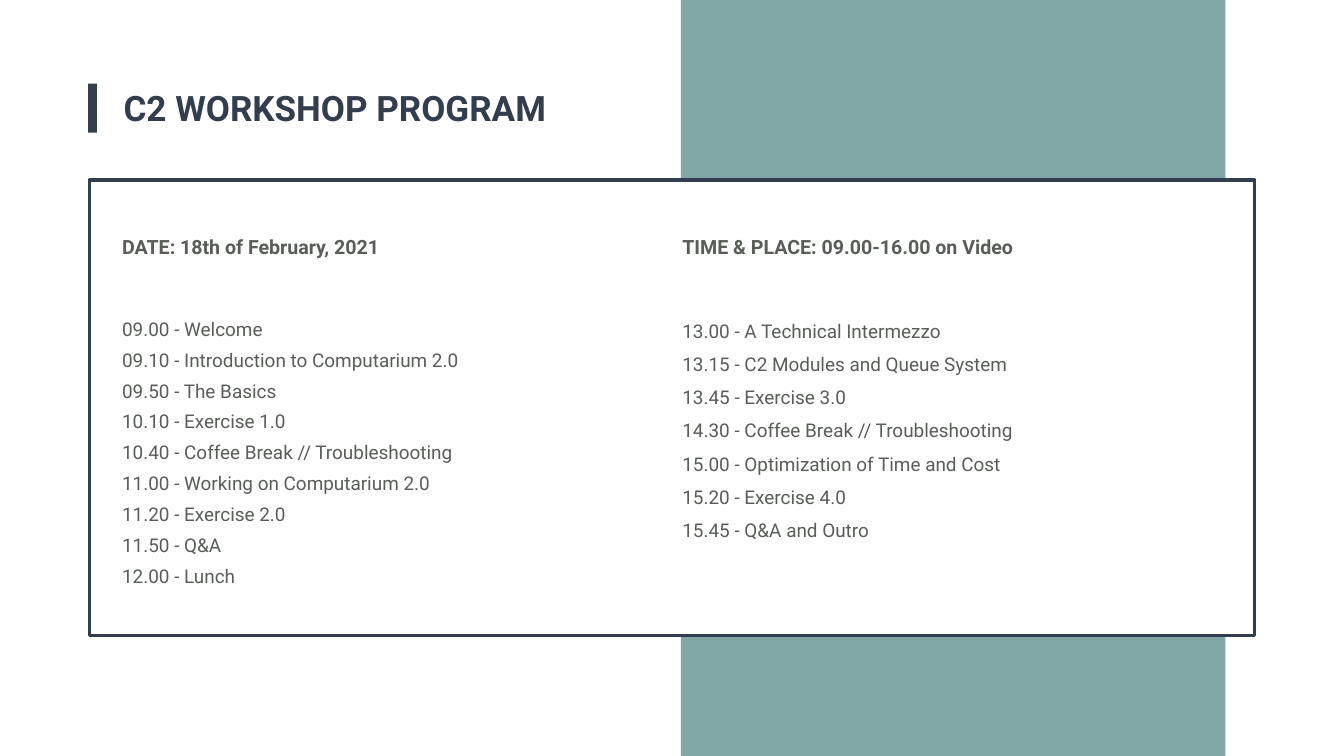
"""Build the workshop program slide: a framed two-column agenda over a colour band."""
from dataclasses import dataclass

from lxml.etree import SubElement
from pptx import Presentation
from pptx.dml.color import RGBColor as Rgb
from pptx.enum.shapes import MSO_SHAPE as Kind
from pptx.enum.text import MSO_ANCHOR as Anchor, MSO_AUTO_SIZE as Fit, PP_ALIGN as Align
from pptx.oxml.ns import qn
from pptx.util import Inches, Pt

TITLE = "C2 WORKSHOP PROGRAM"
HEADS = ["DATE: 18th of February, 2021", "TIME & PLACE: 09.00-16.00 on Video"]
AGENDA = [
    [
        "09.00 - Welcome",
        "09.10 - Introduction to Computarium 2.0",
        "09.50 - The Basics",
        "10.10 - Exercise 1.0",
        "10.40 - Coffee Break // Troubleshooting",
        "11.00 - Working on Computarium 2.0",
        "11.20 - Exercise 2.0",
        "11.50 - Q&A",
        "12.00 - Lunch",
    ],
    [
        "13.00 - A Technical Intermezzo",
        "13.15 - C2 Modules and Queue System",
        "13.45 - Exercise 3.0",
        "14.30 - Coffee Break // Troubleshooting",
        "15.00 - Optimization of Time and Cost",
        "15.20 - Exercise 4.0",
        "15.45 - Q&A and Outro",
    ],
]


@dataclass(frozen=True)
class Theme:
    """Colours, font and type sizes."""
    dark: Rgb = Rgb(0x32, 0x3E, 0x4E)
    teal: Rgb = Rgb(0x80, 0xA7, 0xA5)
    grey: Rgb = Rgb(0x59, 0x5E, 0x59)
    white: Rgb = Rgb(0xFF, 0xFF, 0xFF)
    font: str = "Roboto"
    title: int = 50
    head: int = 28
    item: int = 27


LOOK = Theme()
WIDE, HIGH = 26.65, 15
EDGE, COLS, TEXT = 1.77, (2.37, 13.48), 11.77
TOPS = {"title": 1.67, "head": 4.38, "list": 6.11}
LEADS = (1.3, 1.4)


def place(shape, box):
    """Move and size a shape, in inches."""
    shape.left, shape.top, shape.width, shape.height = map(Inches, box)


def block(slide, level, box, fill, line=None):
    """Add a rectangle at a given depth of the stack."""
    shape = slide.shapes.add_shape(Kind.RECTANGLE, *map(Inches, box))
    shape.shadow.inherit = False
    shape.fill.solid()
    shape.fill.fore_color.rgb = fill
    if line:
        shape.line.color.rgb = line
        shape.line.width = Pt(5)
    else:
        shape.line.fill.background()
    slide.shapes.element.insert(2 + level, shape.element)


def write(holder, box, lines, size, color, bold=False, lead=1.0, anchor=Anchor.TOP):
    """Fill a placeholder with plain, unbulleted lines."""
    place(holder, box)
    frame = holder.text_frame
    frame.word_wrap, frame.auto_size = True, Fit.NONE
    frame.vertical_anchor = anchor
    frame.margin_left = frame.margin_right = Inches(0.05)
    frame.margin_top = frame.margin_bottom = Inches(0.05)
    for num, line in enumerate(lines):
        para = frame.add_paragraph() if num else frame.paragraphs[0]
        para.alignment, para.line_spacing = Align.LEFT, lead
        para.space_before = Pt(2 if num else 0)
        props = para._p.get_or_add_pPr()
        props.set("marL", "0")
        props.set("indent", "0")
        SubElement(props, qn("a:buNone"))
        run = para.add_run()
        run.text = line
        font = run.font
        font.name, font.size, font.bold = LOOK.font, Pt(size), bold
        font.color.rgb = color


def main():
    """Lay out the slide and save it."""
    deck = Presentation()
    deck.slide_width, deck.slide_height = Inches(WIDE), Inches(HIGH)
    slide = deck.slides.add_slide(deck.slide_layouts.get_by_name("Comparison"))
    title, *rest = slide.placeholders

    block(slide, 0, (13.5, 0, 10.8, HIGH), LOOK.teal)
    block(slide, 1, (EDGE, 3.57, WIDE - 2 * EDGE, 9.04), LOOK.white, LOOK.dark)
    block(slide, 2, (1.75, 1.66, 0.17, 0.97), LOOK.dark)

    write(title, (2.4, TOPS["title"], 16, 0.93), [TITLE], LOOK.title, LOOK.dark,
          bold=True, anchor=Anchor.MIDDLE)
    for col, head, items, lead, top, body in zip(
            COLS, HEADS, AGENDA, LEADS, rest[::2], rest[1::2]):
        write(top, (col, TOPS["head"], TEXT, 0.57), [head], LOOK.head, LOOK.grey,
              bold=True, lead=1.5)
        write(body, (col, TOPS["list"], TEXT, 5.39), items, LOOK.item, LOOK.grey, lead=lead)
    deck.save("out.pptx")


if __name__ == "__main__":
    main()
